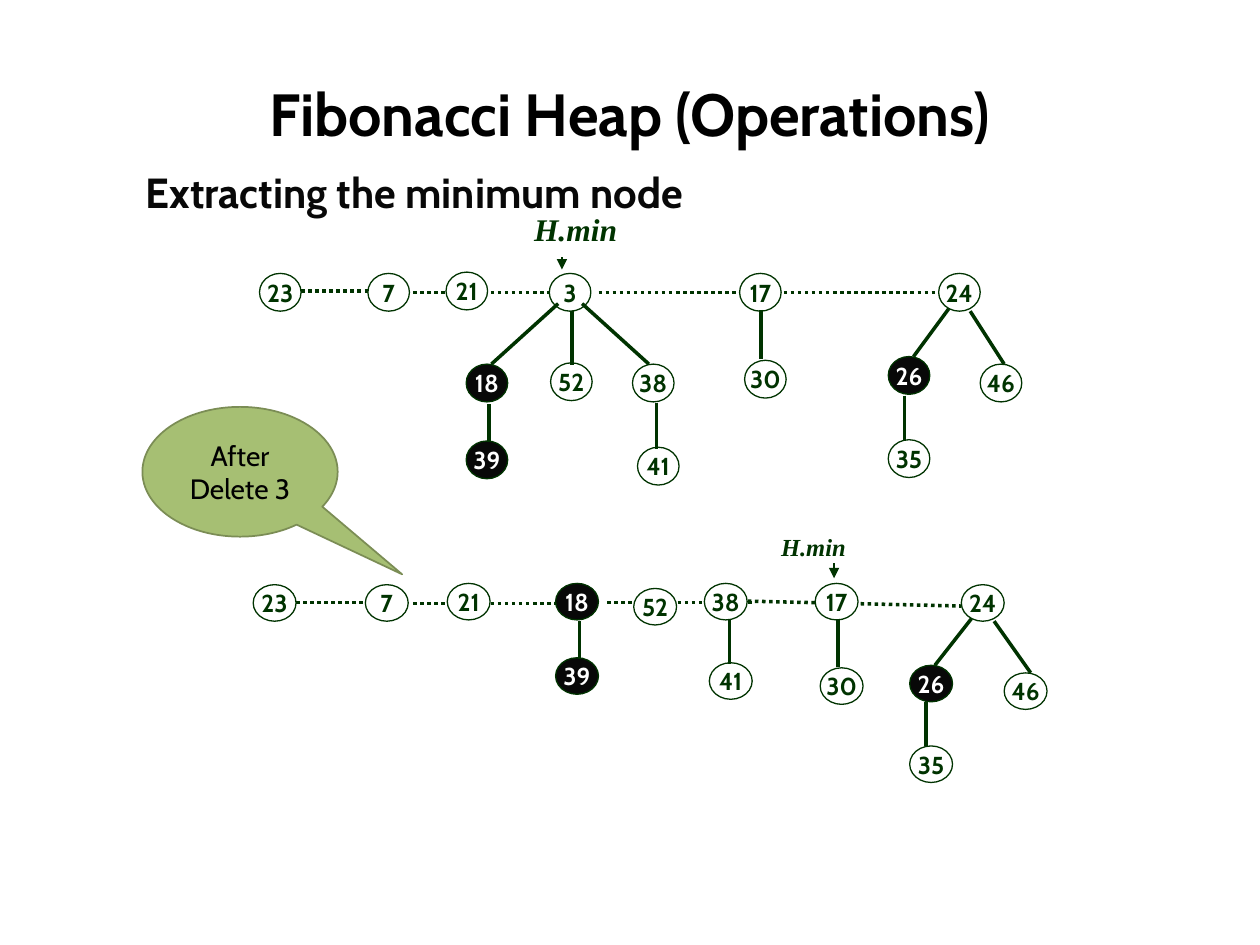
from dataclasses import dataclass

from lxml.etree import SubElement
from pptx import Presentation
from pptx.dml.color import RGBColor
from pptx.enum.dml import MSO_LINE
from pptx.enum.shapes import MSO_CONNECTOR, MSO_SHAPE
from pptx.enum.text import MSO_ANCHOR, MSO_AUTO_SIZE, PP_ALIGN
from pptx.oxml.ns import qn
from pptx.util import Inches, Pt


@dataclass(frozen=True)
class Theme:
    """Colours, fonts and type sizes of the slide."""

    black: str = "000000"
    ink: str = "080808"
    white: str = "FFFFFF"
    green: str = "003300"
    callout: str = "A6BF73"
    callout_edge: str = "7B8D55"
    sans: str = "Cabin"
    serif: str = "Times New Roman"
    title: int = 34
    subtitle: int = 24
    pointer: int = 18
    callout_size: int = 16
    node: int = 14


THEME = Theme()

BEFORE = {
    "node_size": (0.33, 0.3),
    "nodes": [
        ("23", 2.06, 2.17), ("7", 2.92, 2.17), ("21", 3.54, 2.16),
        ("3", 4.36, 2.17), ("17", 5.87, 2.17), ("24", 7.45, 2.17),
        ("18", 3.7, 2.89), ("52", 4.37, 2.88), ("38", 5.02, 2.89),
        ("30", 5.91, 2.86), ("26", 7.05, 2.83), ("46", 7.78, 2.89),
        ("39", 3.7, 3.5), ("41", 5.06, 3.55), ("35", 7.05, 3.49),
    ],
    "root_links": [
        (2.39, 2.31, 2.92, 2.31), (3.28, 2.32, 4.36, 2.32),
        (4.75, 2.32, 5.87, 2.32), (6.22, 2.32, 7.45, 2.32),
    ],
    "edges": [
        (4.43, 2.41, 3.9, 2.89), (4.54, 2.47, 4.54, 2.9),
        (4.62, 2.41, 5.15, 2.89), (3.88, 3.21, 3.88, 3.51),
        (5.21, 3.2, 5.21, 3.56), (6.04, 2.46, 6.04, 2.85),
        (7.53, 2.45, 7.25, 2.83), (7.7, 2.47, 7.97, 2.89),
        (7.18, 3.14, 7.18, 3.5),
    ],
    "label": (4.14, 1.62, 0.87, 0.4),
    "label_size": THEME.pointer,
    "arrow": (4.46, 2.04, 4.46, 2.14),
}

AFTER = {
    "node_size": (0.34, 0.29),
    "nodes": [
        ("23", 2.01, 4.64), ("7", 2.9, 4.64), ("21", 3.55, 4.63),
        ("18", 4.41, 4.63), ("52", 5.03, 4.67), ("38", 5.59, 4.63),
        ("17", 6.47, 4.63), ("24", 7.63, 4.64), ("39", 4.41, 5.22),
        ("41", 5.63, 5.26), ("30", 6.51, 5.3), ("26", 7.22, 5.28),
        ("46", 7.97, 5.34), ("35", 7.22, 5.92),
    ],
    "root_links": [
        (2.35, 4.78, 2.9, 4.78), (3.28, 4.79, 4.41, 4.79),
        (4.82, 4.78, 5.98, 4.78), (5.88, 4.77, 7.63, 4.81),
    ],
    "edges": [
        (4.6, 4.93, 4.6, 5.23), (5.79, 4.92, 5.79, 5.27),
        (6.65, 4.91, 6.65, 5.29), (7.71, 4.91, 7.42, 5.28),
        (7.89, 4.93, 8.18, 5.34), (7.35, 5.57, 7.35, 5.92),
    ],
    "label": (6.1, 4.17, 0.72, 0.34),
    "label_size": THEME.node,
    "arrow": (6.62, 4.47, 6.62, 4.59),
}

MARKED = {"18", "26", "39"}


def write(shape, text, size, color, font=THEME.sans, bold=True, italic=False,
          align=PP_ALIGN.CENTER, anchor=MSO_ANCHOR.MIDDLE, wrap=True, spacing=None):
    """Put formatted text into a shape."""
    frame = shape.text_frame
    frame.word_wrap = wrap
    frame.vertical_anchor = anchor
    para = frame.paragraphs[0]
    para.alignment = align
    if spacing:
        para.line_spacing = spacing
    span = para.add_run()
    span.text = text
    span.font.name = font
    span.font.size = Pt(size)
    span.font.bold = bold
    span.font.italic = italic
    span.font.color.rgb = RGBColor.from_string(color)


def add_figure(shapes, kind, box, fill, edge, width):
    """Add a filled and outlined preset shape."""
    shape = shapes.add_shape(kind, *map(Inches, box))
    shape.shadow.inherit = False
    shape.fill.solid()
    shape.fill.fore_color.rgb = RGBColor.from_string(fill)
    shape.line.color.rgb = RGBColor.from_string(edge)
    shape.line.width = Pt(width)
    return shape


def add_node(shapes, key, left, top, size):
    """Add a heap node, dark when it is marked."""
    fill, color = (THEME.ink, THEME.white) if key in MARKED else (THEME.white, THEME.green)
    node = add_figure(shapes, MSO_SHAPE.OVAL, (left, top, *size), fill, THEME.green, 0.75)
    write(node, key, THEME.node, color, wrap=False)


def add_line(shapes, ends, width=2, dotted=False, arrow=False):
    """Add a straight green line, optionally dotted or with an arrowhead."""
    line = shapes.add_connector(MSO_CONNECTOR.STRAIGHT, *map(Inches, ends))
    line.line.color.rgb = RGBColor.from_string(THEME.green)
    line.line.width = Pt(width)
    if dotted:
        line.line.dash_style = MSO_LINE.ROUND_DOT
    if arrow:
        SubElement(line.line._get_or_add_ln(), qn("a:tailEnd"), type="triangle")
    SubElement(line._element.spPr, qn("a:effectLst"))


def add_heap(page, heap):
    """Add one heap as a group with its root list, trees and minimum pointer."""
    shapes = page.shapes.add_group_shape().shapes
    for ends in heap["root_links"]:
        add_line(shapes, ends, dotted=True)
    for key, left, top in heap["nodes"]:
        add_node(shapes, key, left, top, heap["node_size"])
    for ends in heap["edges"]:
        add_line(shapes, ends)
    label = shapes.add_textbox(*map(Inches, heap["label"]))
    write(label, "H.min", heap["label_size"], THEME.green, font=THEME.serif, italic=True,
          align=PP_ALIGN.LEFT, anchor=MSO_ANCHOR.TOP, wrap=False)
    label.text_frame.auto_size = MSO_AUTO_SIZE.SHAPE_TO_FIT_TEXT
    add_line(shapes, heap["arrow"], width=0.75, arrow=True)


def add_headings(page):
    """Fill the title and add the subtitle."""
    title = page.shapes.title
    title.left, title.top, title.width, title.height = map(Inches, (0.5, 0.5, 9, 0.79))
    write(title, "Fibonacci Heap (Operations)", THEME.title, THEME.black)
    subtitle = page.shapes.add_textbox(*map(Inches, (1.06, 1.07, 7.87, 4.5)))
    write(subtitle, "Extracting the minimum node", THEME.subtitle, THEME.ink,
          align=PP_ALIGN.JUSTIFY, anchor=MSO_ANCHOR.TOP, spacing=1.5)


def add_callout(page):
    """Add the speech bubble that points at the second heap."""
    callout = add_figure(page.shapes, MSO_SHAPE.OVAL_CALLOUT, (1.13, 3.23, 1.55, 1.03),
                         THEME.callout, THEME.callout_edge, 1)
    callout.adjustments[0], callout.adjustments[1] = 0.83, 0.79
    write(callout, "After Delete 3", THEME.callout_size, THEME.black, bold=False)


def main():
    """Build the slide and save the deck."""
    deck = Presentation()
    deck.slide_width, deck.slide_height = Inches(10), Inches(7.5)
    page = deck.slides.add_slide(deck.slide_layouts[5])
    add_headings(page)
    add_heap(page, BEFORE)
    add_callout(page)
    add_heap(page, AFTER)
    deck.save("out.pptx")


if __name__ == "__main__":
    main()
